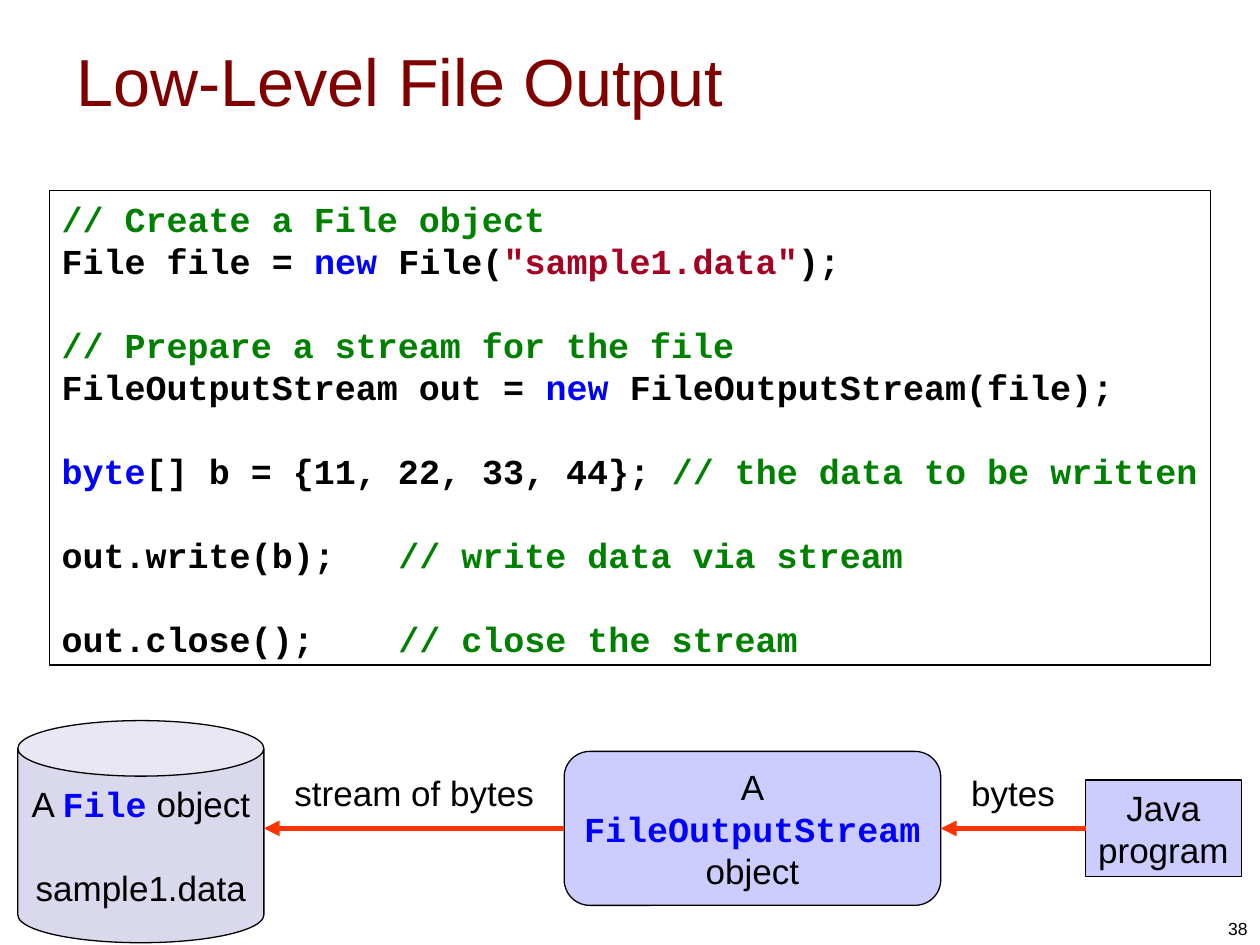
from dataclasses import dataclass

from lxml.etree import SubElement
from pptx import Presentation
from pptx.dml.color import RGBColor
from pptx.enum.shapes import MSO_CONNECTOR, MSO_SHAPE
from pptx.enum.text import MSO_ANCHOR, PP_ALIGN
from pptx.oxml.ns import qn
from pptx.util import Pt


@dataclass(frozen=True)
class Theme:
    sans: str = "Arial"
    mono: str = "Courier New"
    title_size: int = 38
    body_size: int = 20
    number_size: int = 10
    line_height: int = 24
    title: str = "800000"
    text: str = "000000"
    comment: str = "008000"
    keyword: str = "0000FF"
    string: str = "A50021"
    box: str = "CCCCFF"
    disk: str = "D9D8EC"
    arrow: str = "FF3300"


theme = Theme()
ARROW_Y = 473.4


def write(shape, lines, size=theme.body_size, font=theme.sans, bold=False,
          align=PP_ALIGN.LEFT, anchor=MSO_ANCHOR.TOP, line_height=theme.line_height):
    """Fill a shape with lines of (text, colour[, font, bold]) pieces; an empty line becomes space before the next."""
    frame = shape.text_frame
    frame.word_wrap = False
    frame.vertical_anchor = anchor
    paragraph, gap = None, 0
    for pieces in lines:
        if not pieces:
            gap = line_height
            continue
        paragraph = frame.add_paragraph() if paragraph else frame.paragraphs[0]
        paragraph.alignment = align
        if line_height:
            paragraph.line_spacing = Pt(line_height)
        if gap:
            paragraph.space_before = Pt(gap)
            gap = 0
        for text, colour, *style in pieces:
            run = paragraph.add_run()
            run.text = text
            run.font.name, run.font.bold = style or (font, bold)
            run.font.size = Pt(size)
            run.font.color.rgb = RGBColor.from_string(colour)


def add_box(preset, left, top, width, height, fill=None):
    shape = slide.shapes.add_shape(preset, Pt(left), Pt(top), Pt(width), Pt(height))
    shape.shadow.inherit = False
    if fill:
        shape.fill.solid()
        shape.fill.fore_color.rgb = RGBColor.from_string(fill)
    else:
        shape.fill.background()
    shape.line.color.rgb = RGBColor.from_string(theme.text)
    shape.line.width = Pt(0.75)
    return shape


presentation = Presentation()
presentation.slide_width, presentation.slide_height = Pt(720), Pt(540)
slide = presentation.slides.add_slide(presentation.slide_layouts[6])

# Title
title = slide.shapes.add_textbox(Pt(36.7), Pt(13), Pt(648), Pt(65))
write(title, [[("Low-Level File Output", theme.title)]], size=theme.title_size,
      anchor=MSO_ANCHOR.MIDDLE, line_height=None)

# Code listing
code_lines = [
    [("// Create a File object", theme.comment)],
    [("File file = ", theme.text), ("new", theme.keyword), (" File(", theme.text),
     ('"sample1.data"', theme.string), (");", theme.text)],
    [],
    [("// Prepare a stream for the file", theme.comment)],
    [("FileOutputStream out = ", theme.text), ("new", theme.keyword),
     (" FileOutputStream(file);", theme.text)],
    [],
    [("byte", theme.keyword), ("[] b = {11, 22, 33, 44}; ", theme.text),
     ("// the data to be written", theme.comment)],
    [],
    [("out.write(b);   ", theme.text), ("// write data via stream", theme.comment)],
    [],
    [("out.close();    ", theme.text), ("// close the stream", theme.comment)],
]
code = add_box(MSO_SHAPE.RECTANGLE, 28.1, 108.7, 663.8, 271.4)
write(code, code_lines, font=theme.mono, bold=True)
code.text_frame.margin_top = Pt(4)
code.text_frame.margin_bottom = Pt(0)

# Data flow: program, stream and file
disk = add_box(MSO_SHAPE.CAN, 10.2, 411.8, 140.6, 126.9, theme.disk)
write(disk, [
    [("A ", theme.text), ("File", theme.keyword, theme.mono, True), (" object", theme.text)],
    [],
    [("sample1.data", theme.text)],
], align=PP_ALIGN.CENTER)

stream = add_box(MSO_SHAPE.ROUNDED_RECTANGLE, 322.4, ARROW_Y - 44, 215.2, 88, theme.box)
write(stream, [
    [("A", theme.text)],
    [("FileOutputStream", theme.keyword, theme.mono, True)],
    [("object", theme.text)],
], align=PP_ALIGN.CENTER, anchor=MSO_ANCHOR.MIDDLE)

program = add_box(MSO_SHAPE.RECTANGLE, 620.4, ARROW_Y - 27.7, 88.9, 55.4, theme.box)
write(program, [[("Java", theme.text)], [("program", theme.text)]],
      align=PP_ALIGN.CENTER, anchor=MSO_ANCHOR.MIDDLE)

for label, left, width in [("stream of bytes", 161.2, 153), ("bytes", 547.9, 66)]:
    text_box = slide.shapes.add_textbox(Pt(left), Pt(437.4), Pt(width), Pt(31.7))
    write(text_box, [[(label, theme.text)]])

for source, target in [(program, stream), (stream, disk)]:
    arrow = slide.shapes.add_connector(MSO_CONNECTOR.STRAIGHT, source.left, Pt(ARROW_Y),
                                       target.left + target.width, Pt(ARROW_Y))
    arrow.begin_connect(source, 1)
    if target is stream:
        arrow.end_connect(target, 3)
    arrow.line.color.rgb = RGBColor.from_string(theme.arrow)
    arrow.line.width = Pt(3)
    properties = arrow._element.spPr
    SubElement(properties.find(qn("a:ln")), qn("a:tailEnd"), type="triangle")
    SubElement(properties, qn("a:effectLst"))

# Slide number
number = slide.shapes.add_textbox(Pt(552.2), Pt(504), Pt(167.8), Pt(36))
write(number, [[("38", theme.text)]], size=theme.number_size, align=PP_ALIGN.RIGHT,
      anchor=MSO_ANCHOR.BOTTOM, line_height=None)
number.text_frame.word_wrap = True

presentation.save("out.pptx")
